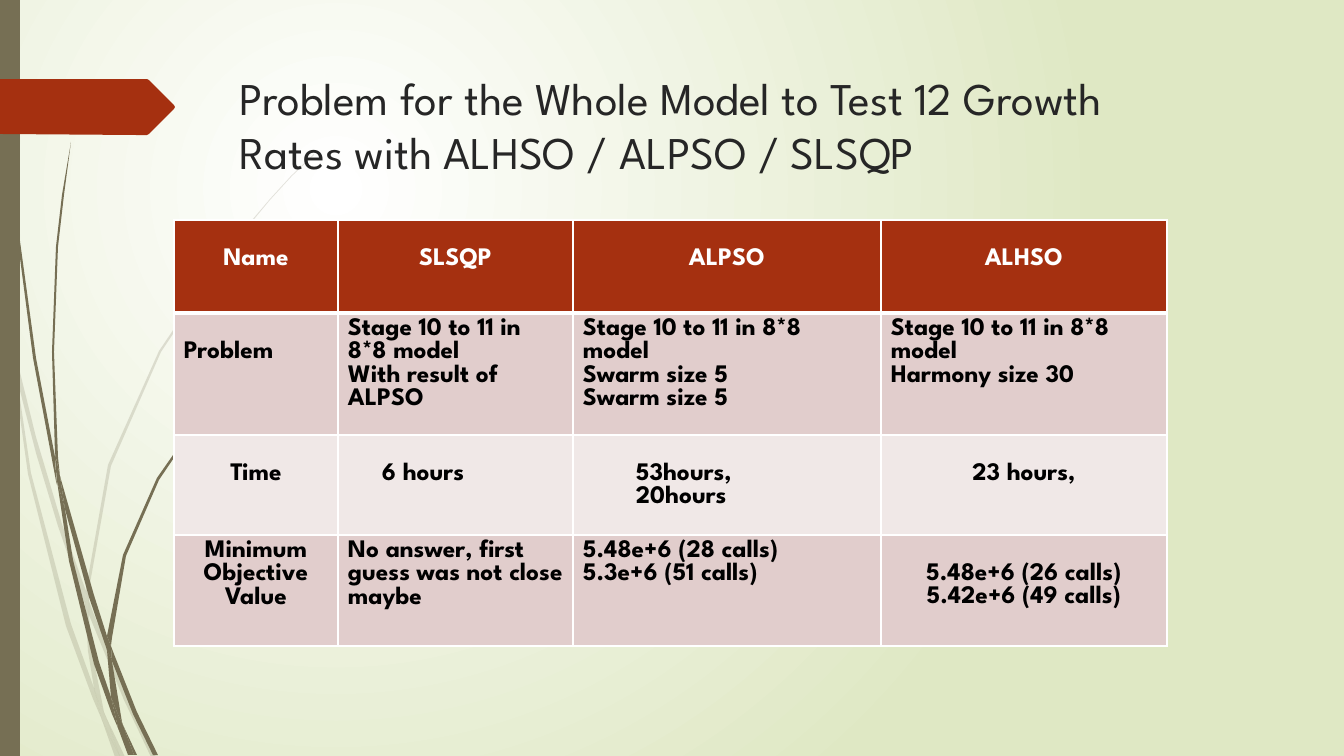
from pptx import Presentation
from pptx.dml.color import RGBColor as RGB
from pptx.enum.shapes import MSO_SHAPE as SHAPE
from pptx.enum.text import MSO_ANCHOR as ANCHOR, PP_ALIGN as ALIGN
from pptx.oxml.ns import qn
from pptx.oxml.xmlchemy import OxmlElement as Element
from pptx.util import Pt

PX = 914400 / 100.8
FONT = "League Spartan"
WHITE = RGB(0xFF, 0xFF, 0xFF)
BLACK = RGB(0, 0, 0)
INK = RGB(0x26, 0x26, 0x26)
OLIVE = RGB(0x76, 0x6F, 0x54)
RUST = RGB(0xA5, 0x30, 0x10)
ROSE = RGB(0xE1, 0xCD, 0xCC)
PALE_ROSE = RGB(0xF0, 0xE8, 0xE7)
PALE_GREEN = RGB(0xDF, 0xE8, 0xC4)

# Outlines of the grass blades, in pixels
FAINT_GRASS = [
    [(11, 353), (9, 325), (0, 284), (0, 301), (10, 347)],
    [(58, 526), (85, 604), (86, 591), (62, 524), (36, 437), (14, 348),
     (17, 379), (36, 453)],
    [(93, 612), (89, 601), (89, 615), (124, 700), (151, 757), (156, 757),
     (128, 698)],
    [(120, 757), (125, 757), (106, 717)],
    [(94, 688), (71, 624), (31, 473), (17, 379), (11, 353), (28, 474),
     (66, 626), (93, 699), (102, 720), (100, 713)],
    [(85, 604), (88, 651), (94, 688), (97, 698), (106, 717), (104, 712),
     (92, 651), (89, 615), (89, 613)],
    [(89, 589), (111, 466), (161, 352), (231, 247), (270, 200), (292, 176),
     (314, 155), (314, 154), (291, 176), (270, 199), (230, 246), (159, 351),
     (108, 465), (86, 589), (86, 591), (89, 601)],
    [(102, 720), (115, 757), (120, 757)],
    [(89, 613), (89, 615), (89, 601), (86, 591), (85, 604)],
    [(97, 698), (94, 688), (100, 713), (102, 720), (120, 757), (106, 717)],
]
DARK_GRASS = [
    [(7, 111), (17, 235), (33, 358), (56, 481), (57, 485), (55, 461),
     (55, 457), (36, 358), (19, 234), (8, 110), (5, 48), (4, 0), (3, 0),
     (4, 48)],
    [(89, 597), (107, 650), (107, 638), (107, 636), (94, 595), (60, 476),
     (65, 509)],
    [(114, 654), (111, 646), (112, 661), (133, 714), (153, 755), (158, 755),
     (137, 712)],
    [(111, 697), (99, 662), (73, 560), (65, 509), (57, 481), (69, 561),
     (94, 664), (112, 714), (118, 728), (117, 723)],
    [(60, 476), (58, 457), (54, 352), (58, 247), (64, 195), (71, 142),
     (62, 195), (56, 247), (52, 352), (55, 453)],
    [(134, 755), (137, 755), (123, 725)],
    [(57, 481), (65, 509), (60, 476), (55, 453), (55, 457)],
    [(112, 638), (126, 556), (159, 480), (207, 409), (233, 377), (247, 362),
     (263, 347), (262, 347), (247, 361), (233, 376), (206, 408), (157, 478),
     (123, 555), (107, 636), (111, 646)],
    [(118, 728), (128, 755), (132, 755)],
    [(107, 650), (111, 697), (117, 712), (123, 725), (122, 722), (112, 661),
     (110, 656)],
    [(107, 650), (110, 656), (112, 661), (111, 646), (107, 636), (107, 638)],
    [(117, 712), (111, 697), (117, 723), (118, 728), (131, 755), (134, 755),
     (123, 725)],
]
ARROW = [(174, 109), (149, 134), (147, 135), (137, 135), (0, 134), (0, 79),
         (137, 79), (147, 79), (149, 80), (174, 105), (175, 107)]

# Table: column widths, row heights, row fills and cell texts
COLS = [164, 235, 308, 286]
ROWS = [93, 122, 100, 111]
FILLS = [RUST, ROSE, PALE_ROSE, ROSE]
STAGE = "Stage 10 to 11 in 8*8 model"
CELLS = [
    ["Name", "SLSQP", "ALPSO", "ALHSO"],
    ["Problem", STAGE + "\nWith result of ALPSO",
     STAGE + "\nSwarm size 5\nSwarm size 5", STAGE + "\nHarmony size 30"],
    ["Time", "6 hours", "53hours,\n20hours", "23 hours,"],
    ["Minimum\nObjective\nValue", "No answer, first guess was not close maybe",
     "5.48e+6 (28 calls)\n5.3e+6 (51 calls)",
     "5.48e+6 (26 calls)\n5.42e+6 (49 calls)"],
]
CENTERED = {(2, 0), (2, 3), (3, 0), (3, 3)}
LOWERED = {(1, 0), (3, 3)}
INDENTS = {(2, 1): 34, (2, 2): 53}


def px(n):
    return round(n * PX)


def box(*lengths):
    return [px(n) for n in lengths]


def paint(sp, color, alpha=None):
    sp.shadow.inherit = False
    sp.fill.solid()
    sp.fill.fore_color.rgb = color
    sp.line.fill.background()
    if alpha:
        clr = sp._element.spPr.find(qn("a:solidFill"))[0]
        sub(clr, "a:alpha", val=alpha * 1000)


def sub(parent, tag, **attrs):
    el = Element(tag)
    for key, value in attrs.items():
        el.set(key, str(value))
    parent.append(el)
    return el


def add_outline(s, points, color, alpha=None):
    fb = s.shapes.build_freeform(*points[0], scale=PX)
    fb.add_line_segments(points[1:], close=True)
    paint(fb.convert_to_shape(), color, alpha)


def style(tf, size, color, bold=False, align=ALIGN.LEFT):
    for p in tf.paragraphs:
        p.alignment = align
        for r in p.runs:
            r.font.name, r.font.size, r.font.bold = FONT, Pt(size), bold
            r.font.color.rgb = color


def set_background(s):
    fill = s.background.fill
    fill.gradient()
    for stop, color, pos in zip(fill.gradient_stops, (WHITE, PALE_GREEN), (0, 1)):
        stop.color.rgb = color
        stop.position = pos
    lin = s._element.find(".//" + qn("a:lin"))
    grad = lin.getparent()
    grad.remove(lin)
    circle = sub(grad, "a:path", path="circle")
    sub(circle, "a:fillToRect", l=50000, t=50000, r=100000, b=100000)


def add_borders(cell, bottom):
    tcPr = cell._tc.get_or_add_tcPr()
    widths = {"a:lnL": 1, "a:lnR": 1, "a:lnT": 1, "a:lnB": bottom}
    for i, (tag, width) in enumerate(widths.items()):
        ln = Element(tag)
        ln.set("w", str(Pt(width)))
        sub(sub(ln, "a:solidFill"), "a:srgbClr", val=WHITE)
        tcPr.insert(i, ln)


def fill_cell(cell, row, col):
    header = row == 0
    lowered = row in (0, 2) or (row, col) in LOWERED
    centered = header or (row, col) in CENTERED
    cell.text_frame.text = CELLS[row][col]
    style(cell.text_frame, 18, WHITE if header else BLACK, True,
          ALIGN.CENTER if centered else ALIGN.LEFT)
    cell.margin_top = px(28 if lowered else 5)
    cell.margin_left = px(10 + INDENTS.get((row, col), 0))
    cell.fill.solid()
    cell.fill.fore_color.rgb = FILLS[row]
    add_borders(cell, 3 if header else 1)


def add_results(s):
    table = s.shapes.add_table(len(ROWS), len(COLS),
                               *box(174, 220, sum(COLS), sum(ROWS))).table
    for col, width in enumerate(COLS):
        table.columns[col].width = px(width)
    for row, height in enumerate(ROWS):
        table.rows[row].height = px(height)
        for col in range(len(COLS)):
            fill_cell(table.cell(row, col), row, col)


def add_title(s, text):
    tf = s.shapes.add_textbox(*box(230, 65, 983, 141)).text_frame
    tf.word_wrap = True
    tf.vertical_anchor = ANCHOR.TOP
    tf.text = text
    style(tf, 32.4, INK)


def main():
    prs = Presentation()
    prs.slide_width, prs.slide_height = box(1344, 756)
    s = prs.slides.add_slide(prs.slide_layouts[6])
    set_background(s)

    # Grass, side bar and arrow tab
    for blade in FAINT_GRASS:
        add_outline(s, blade, OLIVE, 20)
    for blade in DARK_GRASS:
        add_outline(s, blade, OLIVE)
    bar = s.shapes.add_shape(SHAPE.RECTANGLE, *box(0, 0, 20, 756))
    paint(bar, OLIVE)
    add_outline(s, ARROW, RUST)

    # Results and title
    add_results(s)
    add_title(s, "Problem for the Whole Model to Test 12 Growth Rates "
                 "with ALHSO / ALPSO / SLSQP")
    prs.save("out.pptx")


main()
